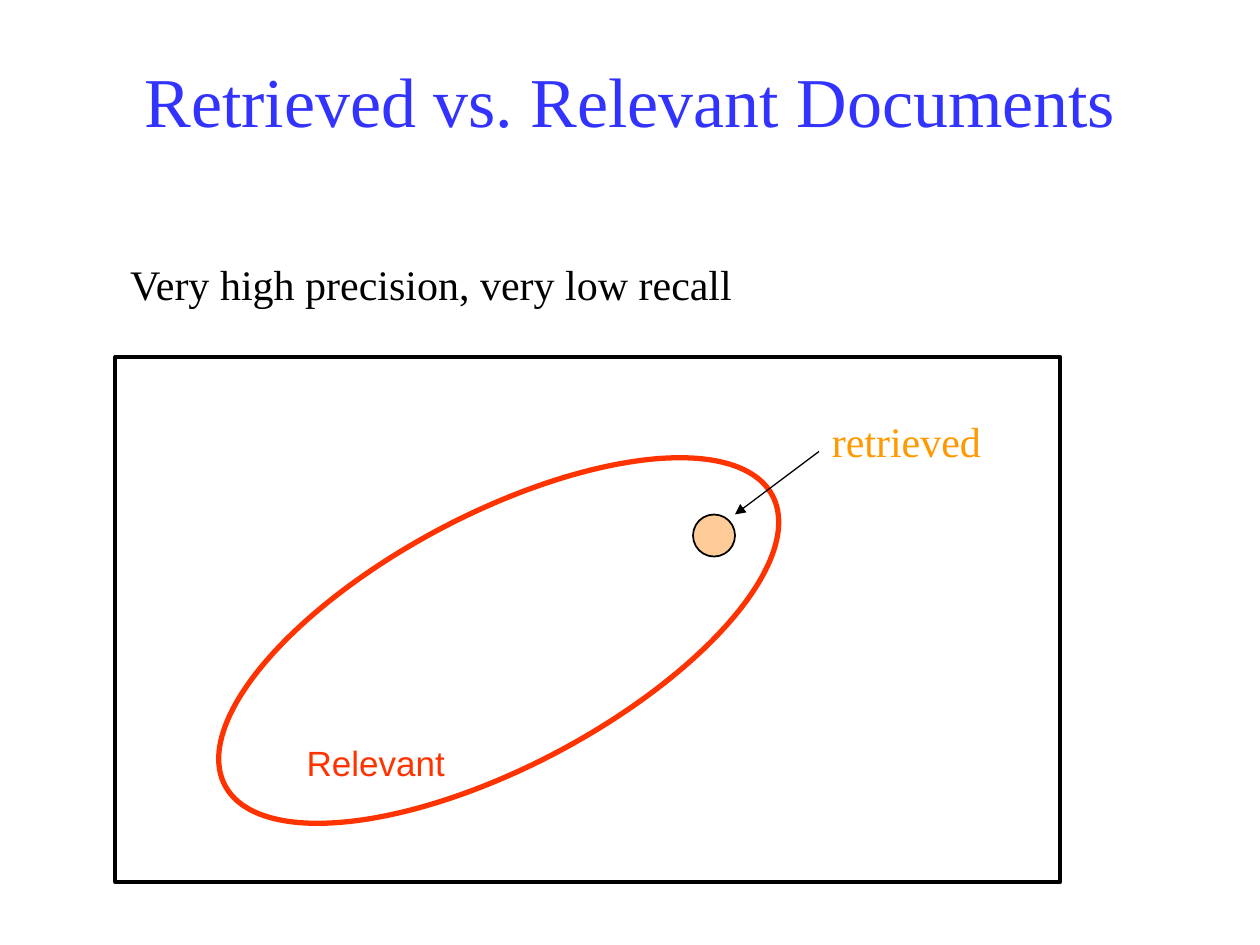
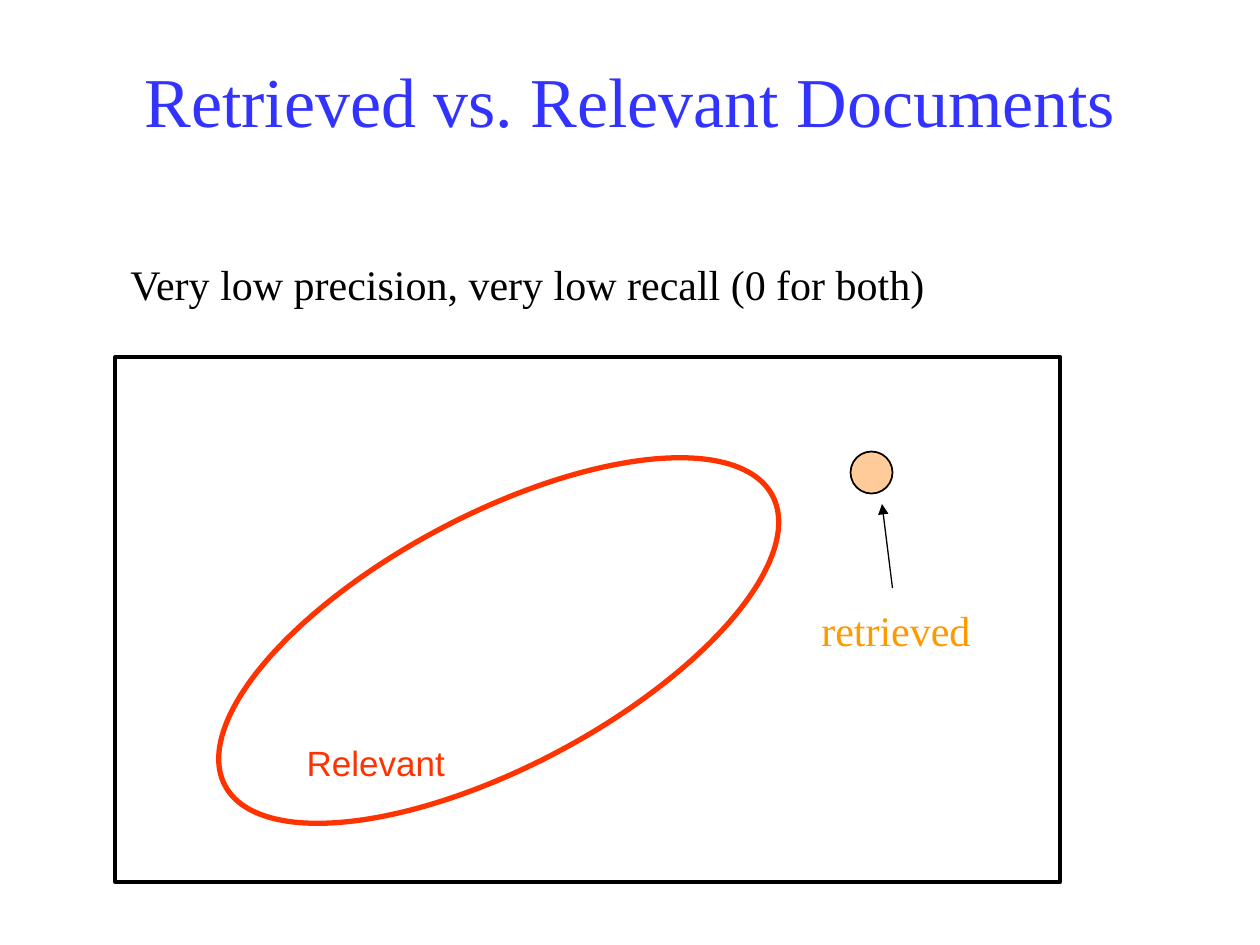
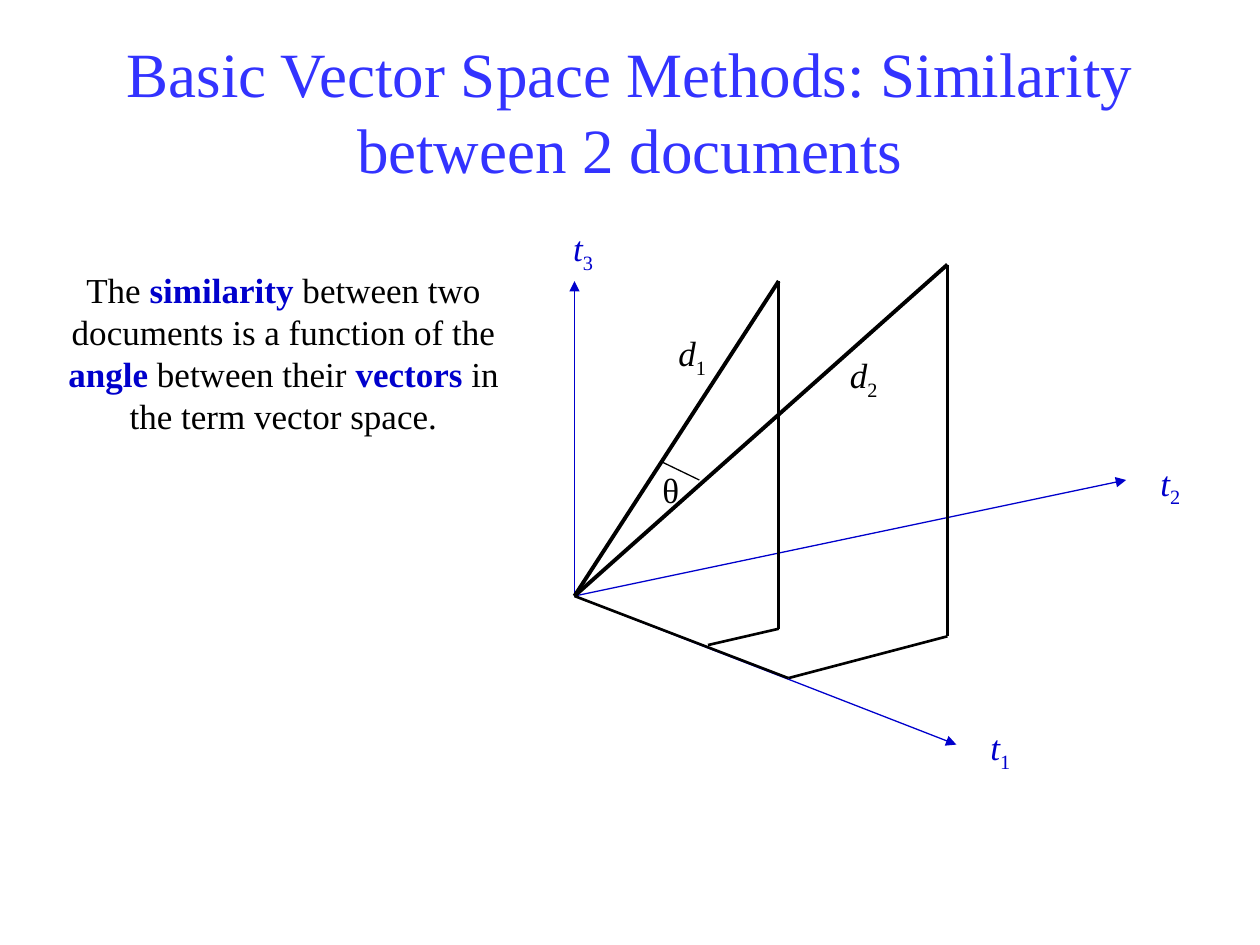
from pptx import Presentation
from pptx.dml.color import RGBColor
from pptx.enum.shapes import MSO_CONNECTOR, MSO_SHAPE
from pptx.enum.text import MSO_ANCHOR, PP_ALIGN
from pptx.oxml.ns import qn
from pptx.util import Pt
from lxml import etree

RECT = MSO_SHAPE.RECTANGLE
OVAL = MSO_SHAPE.OVAL
LINE = MSO_CONNECTOR.STRAIGHT
MID = MSO_ANCHOR.MIDDLE
CENTER = PP_ALIGN.CENTER

BLACK = RGBColor(0x00, 0x00, 0x00)
BLUE = RGBColor(0x33, 0x33, 0xFF)
NAVY = RGBColor(0x00, 0x00, 0xCC)
RED = RGBColor(0xFF, 0x33, 0x00)
ORANGE = RGBColor(0xFF, 0x99, 0x00)
PEACH = RGBColor(0xFF, 0xCC, 0x99)

SERIF = "Times New Roman"
SANS = "Arial"


def add_box(slide, x, y, w, h, size, color, face=SERIF, text="", wrap=True):
    box = slide.shapes.add_textbox(Pt(x), Pt(y), Pt(w), Pt(h))
    frame = box.text_frame
    frame.word_wrap = wrap
    para = frame.paragraphs[0]
    para.text = text
    para.alignment = CENTER
    para.font.name = face
    para.font.size = Pt(size)
    para.font.color.rgb = color
    return frame


def add_title(slide, text, size, height):
    frame = add_box(slide, 54, 18, 612, height, size, BLUE, text=text)
    frame.vertical_anchor = MID


def add_form(slide, kind, x, y, w, h, color, width, fill=None, turn=0):
    form = slide.shapes.add_shape(kind, Pt(x), Pt(y), Pt(w), Pt(h))
    form.shadow.inherit = False
    form.rotation = turn
    form.line.color.rgb = color
    form.line.width = Pt(width)
    if fill is None:
        form.fill.background()
    else:
        form.fill.solid()
        form.fill.fore_color.rgb = fill


def add_line(slide, start, end, color=BLACK, width=0.75, arrow=False):
    line = slide.shapes.add_connector(LINE, *map(Pt, start + end))
    line.line.color.rgb = color
    line.line.width = Pt(width)
    props = line._element.spPr
    if arrow:
        etree.SubElement(props.find(qn("a:ln")), qn("a:tailEnd"), type="triangle")
    etree.SubElement(props, qn("a:effectLst"))


def add_term(slide, x, y, w, name, index, color):
    para = add_box(slide, x, y, w, 36, 20, color).paragraphs[0]
    base = para.add_run()
    base.text = name
    base.font.italic = True
    sub = para.add_run()
    sub.text = index
    sub._r.get_or_add_rPr().set("baseline", "-25000")


def add_venn(slide, claim, width, dot, label, start, end):
    add_title(slide, "Retrieved vs. Relevant Documents", 40, 78)
    add_form(slide, OVAL, 108, 294, 354, 144, RED, 3, turn=332.1)
    add_box(slide, 168, 420, 93.5, 31, 20, RED, SANS, "Relevant", False)
    add_form(slide, OVAL, *dot, 24, 24, BLACK, 1, PEACH)
    add_box(slide, 66, 144, width, 36, 24, BLACK, text=claim, wrap=False)
    add_form(slide, RECT, 66, 204, 540, 300, BLACK, 2.25)
    add_box(slide, *label, 100, 36, 24, ORANGE, text="retrieved", wrap=False)
    add_line(slide, start, end, arrow=True)


def add_claim(slide):
    para = add_box(slide, 24, 150, 276, 151, 20, BLACK).paragraphs[0]
    parts = ("The ", "similarity", " between two documents is a function of the ",
             "angle", " between their ", "vectors", " in the term vector space.")
    for i, part in enumerate(parts):
        run = para.add_run()
        run.text = part
        if i % 2:
            run.font.bold = True
            run.font.color.rgb = NAVY


def add_space(slide):
    origin = (328.3, 340.6)
    axes = (
        ("3", (328.3, 160.6), (318.2, 126)),
        ("2", (643.5, 274.3), (653.8, 260)),
        ("1", (546.5, 425.5), (556.6, 411)),
    )
    for index, tip, spot in axes:
        add_line(slide, origin, tip, NAVY, arrow=True)
        add_term(slide, *spot, 30, "t", index, NAVY)

    docs = (
        ("1", (445, 160.6), 359.3, (404.6, 368.6), (378, 185.8)),
        ("2", (541.4, 151.2), 363.6, (450.5, 387.5), (476, 198.7)),
    )
    for index, tip, floor, base, spot in docs:
        foot = (tip[0], floor)
        add_line(slide, origin, tip, width=2.25)
        add_line(slide, tip, foot, width=1.5)
        add_line(slide, base, foot, width=1.5)
        add_term(slide, *spot, 35, "d", index, BLACK)
    add_line(slide, origin, base, width=1.5)

    add_line(slide, (378.7, 264.2), (399.6, 274.3))
    add_box(slide, 365.8, 264.2, 35, 36, 20, BLACK, text="θ")


def main():
    deck = Presentation()
    deck.slide_width = Pt(720)
    deck.slide_height = Pt(540)
    blank = deck.slide_layouts[6]

    add_venn(deck.slides.add_slide(blank), "Very high precision, very low recall",
             360.7, (396, 294), (468, 234), (468, 258), (420, 294))
    add_venn(deck.slides.add_slide(blank),
             "Very low precision, very low recall (0 for both)",
             471, (486, 258), (462, 342), (510, 336), (504, 288))

    slide = deck.slides.add_slide(blank)
    add_title(slide, "Basic Vector Space Methods: Similarity between 2 documents",
              36, 90)
    add_claim(slide)
    add_space(slide)
    deck.save("out.pptx")


if __name__ == "__main__":
    main()
